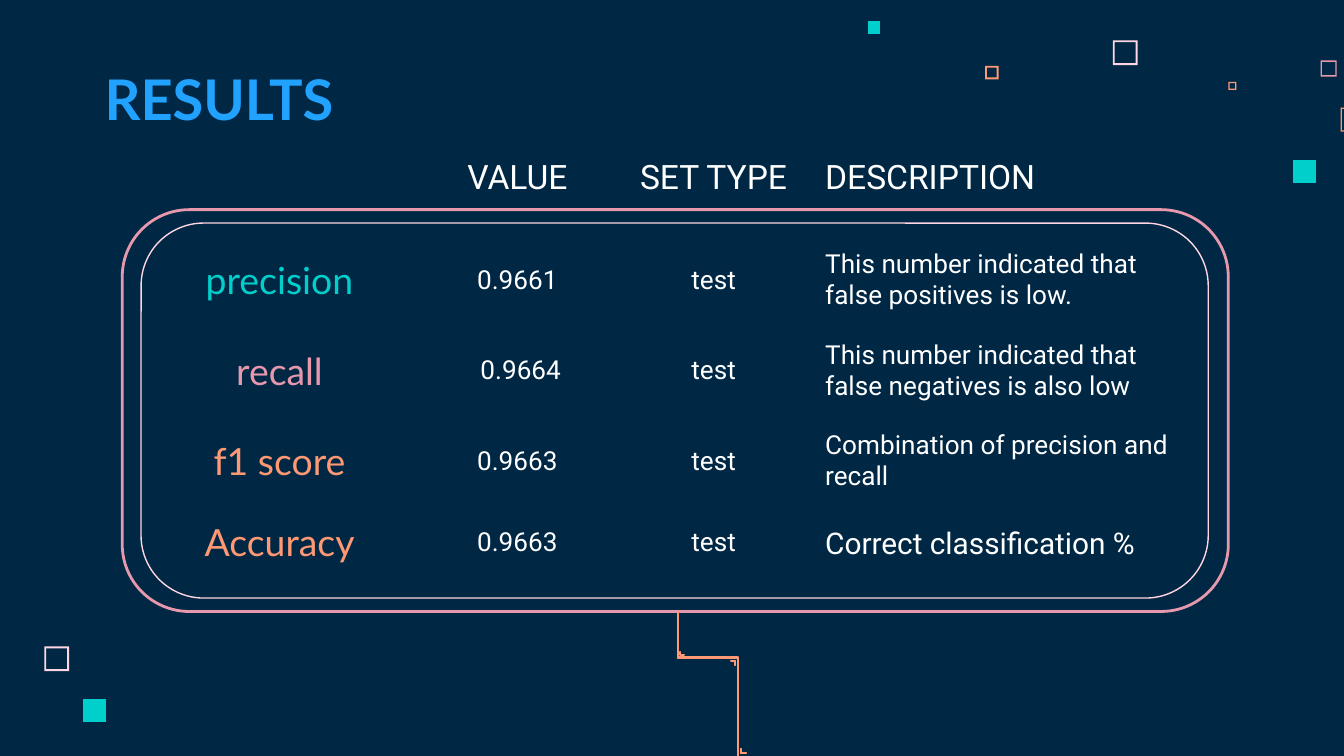
from dataclasses import dataclass

from pptx import Presentation
from pptx.dml.color import RGBColor
from pptx.enum.shapes import MSO_SHAPE
from pptx.enum.text import MSO_ANCHOR, PP_ALIGN
from pptx.util import Emu, Inches, Pt

ROUNDED = MSO_SHAPE.ROUNDED_RECTANGLE
TOP, MIDDLE, BOTTOM = MSO_ANCHOR.TOP, MSO_ANCHOR.MIDDLE, MSO_ANCHOR.BOTTOM
LEFT, CENTER = PP_ALIGN.LEFT, PP_ALIGN.CENTER
PLAIN_TABLE = "{2D5ABB26-0587-4C30-8999-92F81FD0307C}"  # no style, no grid

# The slide is a grid of square cells, 100 across
COLS, ROWS = 100, 56.25
CELL = Inches(0.1)


@dataclass(frozen=True)
class Theme:
    navy: str = "002845"
    blue: str = "22A2FF"
    teal: str = "00CFCC"
    rose: str = "E898AC"
    blush: str = "FFD6E1"
    orange: str = "FF9973"
    white: str = "FFFFFF"
    heading: str = "Lato"
    body: str = "Roboto"
    title_size: int = 30
    metric_size: int = 20
    header_size: int = 18
    note_size: int = 16
    body_size: int = 14


T = Theme()

# left, top, side, rim (0 is solid), colour
SQUARES = [
    (82.8, 3, 1.84, 0.14, T.blush),
    (98.25, 4.5, 1.2, 0.1, T.rose),
    (91.4, 6.1, 0.6, 0.1, T.orange),
    (99.75, 8, 1.8, 0.1, T.orange),
    (96.2, 11.9, 1.7, 0, T.teal),
    (73.3, 4.9, 1, 0.14, T.orange),
    (64.6, 1.6, 0.9, 0, T.teal),
    (3.3, 48.1, 1.84, 0.14, T.blush),
    (6.2, 52, 1.7, 0, T.teal),
]

# Stepped trace and the small corner marks beside its bends
TRACE = [
    [(50.4, 45.5), (50.4, 48.95), (54.85, 48.95), (54.85, ROWS),
     (54.9, ROWS), (54.9, 48.9), (50.45, 48.9), (50.45, 45.5)],
    [(55.1, 55.7), (55.1, 56.05), (55.5, 56.05), (55.5, 56), (55.15, 56), (55.15, 55.7)],
    [(54.4, 49.15), (54.4, 49.2), (54.7, 49.2), (54.7, 49.5), (54.74, 49.5), (54.74, 49.15)],
    [(50.6, 48.5), (50.6, 48.74), (50.9, 48.74), (50.9, 48.7), (50.64, 48.7), (50.64, 48.5)],
]

COL_WIDTHS = [20.8] + [14.6] * 4
ROW_HEIGHTS = [6.7, 6.7, 6.8, 6.5, 5.3]
HEADERS = ["VALUE", "SET TYPE", "DESCRIPTION"]
RESULTS = [
    ("precision", T.teal, "0.9661", "This number indicated that false positives is low."),
    ("recall", T.rose, " 0.9664", "This number indicated that false negatives is also low"),
    ("f1 score", T.orange, "0.9663", "Combination of precision and recall"),
    ("Accuracy", T.orange, "0.9663", "Correct classification %"),
]


def grid(n):
    return Emu(round(n * CELL))


def rgb(color):
    return RGBColor.from_string(color)


def set_line(sp, color, width):
    sp.line.color.rgb = rgb(color)
    sp.line.width = Pt(width)


def add_outline(s, contours, color, width=0):
    """Fill closed contours with one colour; a second contour cuts a hole."""
    contours = [[(grid(x), grid(y)) for x, y in c] for c in contours]
    builder = s.shapes.build_freeform(*contours[0][0], scale=1.0)
    builder.add_line_segments(contours[0][1:], close=True)
    for contour in contours[1:]:
        builder.move_to(*contour[0])
        builder.add_line_segments(contour[1:], close=True)
    sp = builder.convert_to_shape()
    sp.shadow.inherit = False
    sp.fill.solid()
    sp.fill.fore_color.rgb = rgb(color)
    if width:
        set_line(sp, color, width)
    else:
        sp.line.fill.background()


def add_square(s, x, y, side, rim, color):
    right, bottom = x + side, y + side
    contours = [[(x, y), (x, bottom), (right, bottom), (right, y)]]
    if rim:
        contours.append([(x + rim, y + rim), (right - rim, y + rim),
                         (right - rim, bottom - rim), (x + rim, bottom - rim)])
    add_outline(s, contours, color)


def add_panel(s, x, y, w, h, color, width):
    sp = s.shapes.add_shape(ROUNDED, grid(x), grid(y), grid(w), grid(h))
    sp.adjustments[0] = 0.167
    sp.shadow.inherit = False
    sp.fill.background()
    set_line(sp, color, width)


def write(tf, text, font, size, color, align=LEFT, bold=False):
    tf.word_wrap = True
    p = tf.paragraphs[0]
    p.alignment = align
    r = p.add_run()
    r.text = text
    r.font.name, r.font.size, r.font.bold = font, Pt(size), bold
    r.font.color.rgb = rgb(color)
    return p


def set_insets(box):
    box.margin_left = box.margin_right = box.margin_top = box.margin_bottom = grid(1)


def add_title(s, text):
    tf = s.shapes.add_textbox(grid(6.8), grid(4.5), grid(51.7), grid(6.3)).text_frame
    set_insets(tf)
    tf.vertical_anchor = BOTTOM
    write(tf, text, T.heading, T.title_size, T.blue, bold=True)


def add_results(s):
    frame = s.shapes.add_table(len(ROW_HEIGHTS), len(COL_WIDTHS), grid(10.4), grid(10.8),
                               grid(sum(COL_WIDTHS)), grid(sum(ROW_HEIGHTS)))
    table = frame.table
    table.first_row = table.horz_banding = False
    table._tbl.tblPr[0].text = PLAIN_TABLE
    for col, width in zip(table.columns, COL_WIDTHS):
        col.width = grid(width)
    for i, height in enumerate(ROW_HEIGHTS):
        table.rows[i].height = grid(height)
        for cell in table.rows[i].cells:
            cell.fill.background()
            set_insets(cell)
            cell.vertical_anchor = MIDDLE if i else TOP
        table.cell(i, 3).merge(table.cell(i, 4))

    # Header row
    for j, text in enumerate(HEADERS, 1):
        write(table.cell(0, j).text_frame, text, T.body, T.header_size, T.white,
              LEFT if j == 3 else CENTER)

    # One row per metric
    for i, (metric, color, value, note) in enumerate(RESULTS, 1):
        write(table.cell(i, 0).text_frame, metric, T.heading, T.metric_size, color, CENTER)
        for j, text in enumerate((value, "test"), 1):
            write(table.cell(i, j).text_frame, text, T.body, T.body_size, T.white, CENTER)
        last = i == len(RESULTS)
        p = write(table.cell(i, 3).text_frame, note, T.body,
                  T.note_size if last else T.body_size, T.white)
        if last:
            p.line_spacing = 1.15


def main():
    prs = Presentation()
    prs.slide_width, prs.slide_height = grid(COLS), grid(ROWS)
    s = prs.slides.add_slide(prs.slide_layouts[6])
    s.background.fill.solid()
    s.background.fill.fore_color.rgb = rgb(T.navy)

    # Scattered squares
    for square in SQUARES:
        add_square(s, *square)

    # Double frame, title and results
    add_panel(s, 9.1, 15.6, 82.3, 29.9, T.rose, 1.5)
    add_panel(s, 10.5, 16.6, 79.4, 27.9, T.blush, 0.75)
    add_title(s, "RESULTS")
    add_results(s)

    # Trace below the frame
    for contour in TRACE:
        add_outline(s, [contour], T.orange, 0.75)

    prs.save("out.pptx")


if __name__ == "__main__":
    main()
